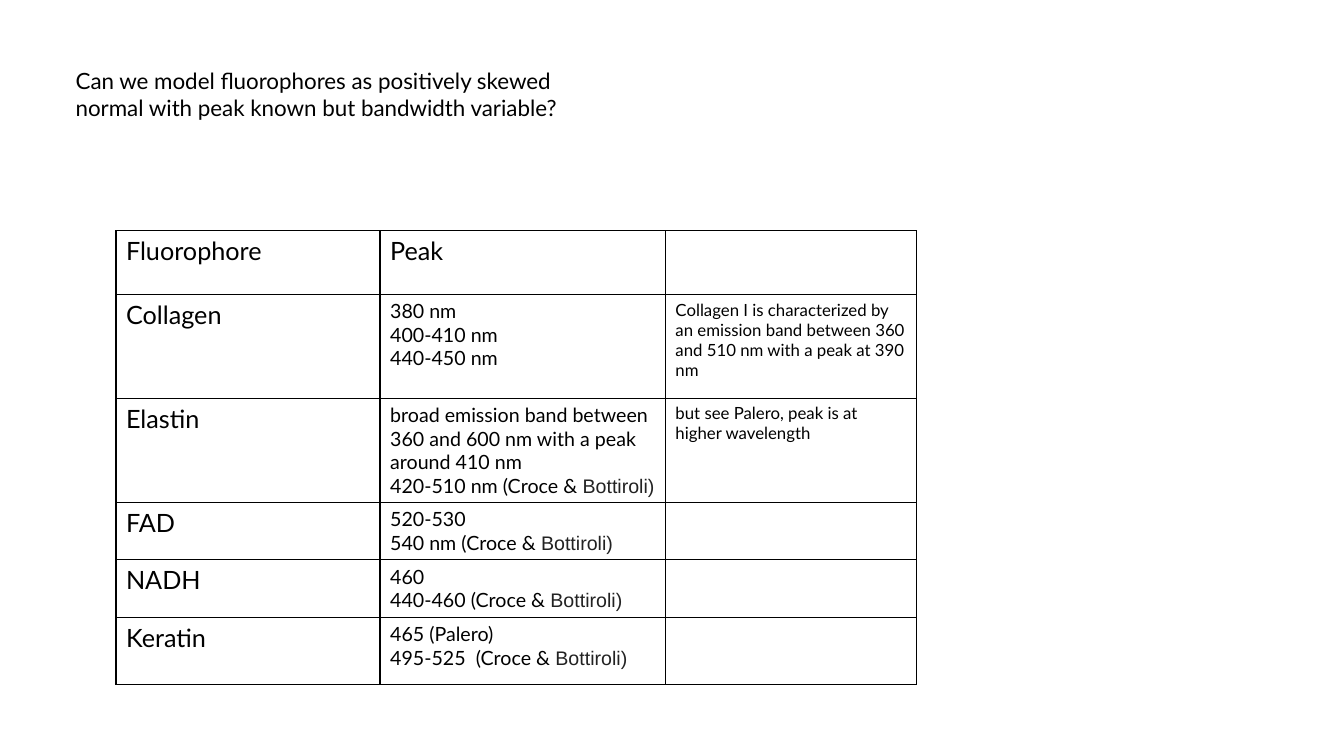
from lxml import etree
from pptx import Presentation
from pptx import util as u
from pptx.dml.color import RGBColor
from pptx.enum import text
from pptx.oxml import ns

COLORS = {"ink": "000000", "citation": "222222", "border": "000000"}
FONT, CITATION_FONT = "Lato", "Arial"
CITED = "Bottiroli)"

QUESTION = ("Can we model fluorophores as positively skewed normal "
            "with peak known but bandwidth variable?")
COL_WIDTHS = [2.62, 2.83, 2.49]
ROW_HEIGHTS = [0.63, 1.03, 1.03, 0.57, 0.57, 0.67]
HEADER_SIZES = [18, 18, 18]
BODY_SIZES = [18, 14, 12]
ROWS = [
    ["Fluorophore", "Peak", ""],
    ["Collagen", "380 nm\n400-410 nm\n440-450 nm",
     "Collagen I is characterized by an emission band between 360 and "
     "510 nm with a peak at 390 nm"],
    ["Elastin",
     "broad emission band between 360 and 600 nm with a peak around 410 nm \n"
     "420-510 nm (Croce & Bottiroli)",
     "but see Palero, peak is at higher wavelength"],
    ["FAD", "520-530\n540 nm (Croce & Bottiroli)", ""],
    ["NADH", "460\n440-460 (Croce & Bottiroli)", ""],
    ["Keratin", "465 (Palero)\n495-525  (Croce & Bottiroli)", ""],
]


def add_run(p, words, size, font=FONT, color="ink"):
    r = p.add_run()
    r.text = words
    r.font.size = u.Pt(size)
    r.font.name = font
    r.font.color.rgb = RGBColor.from_string(COLORS[color])


def set_borders(cell, width=1):
    tcPr = cell._tc.get_or_add_tcPr()
    for i, side in enumerate(("lnL", "lnR", "lnT", "lnB")):
        ln = etree.Element(ns.qn("a:" + side), w=str(u.Pt(width)))
        fill = etree.SubElement(ln, ns.qn("a:solidFill"))
        etree.SubElement(fill, ns.qn("a:srgbClr"), val=COLORS["border"])
        tcPr.insert(i, ln)


def fill_cell(cell, words, size):
    cell.fill.background()
    set_borders(cell)
    tf = cell.text_frame
    tf.text = words
    for p in tf.paragraphs:
        line = p.text
        p.clear()
        # The cited author's name has its own font and colour
        if line.endswith(CITED):
            add_run(p, line.removesuffix(CITED), size)
            add_run(p, CITED, size, CITATION_FONT, "citation")
        elif line:
            add_run(p, line, size)


def add_question(slide, left, top, width, height):
    sp = slide.shapes.title
    sp.left, sp.top = u.Inches(left), u.Inches(top)
    sp.width, sp.height = u.Inches(width), u.Inches(height)
    tf = sp.text_frame
    tf.word_wrap = True
    tf.auto_size = text.MSO_AUTO_SIZE.NONE
    tf.vertical_anchor = text.MSO_ANCHOR.TOP
    p = tf.paragraphs[0]
    p.alignment = text.PP_ALIGN.LEFT
    add_run(p, QUESTION, 16)


def add_peak_table(slide, left, top):
    frame = slide.shapes.add_table(
        len(ROWS), len(COL_WIDTHS), u.Inches(left), u.Inches(top),
        u.Inches(sum(COL_WIDTHS)), u.Inches(sum(ROW_HEIGHTS)))
    table = frame.table
    table.first_row = table.horz_banding = False
    for col, width in zip(table.columns, COL_WIDTHS):
        col.width = u.Inches(width)
    for i, (row, height) in enumerate(zip(table.rows, ROW_HEIGHTS)):
        row.height = u.Inches(height)
        sizes = BODY_SIZES if i else HEADER_SIZES
        for cell, words, size in zip(row.cells, ROWS[i], sizes):
            fill_cell(cell, words, size)


def main():
    prs = Presentation()
    prs.slide_width, prs.slide_height = u.Inches(13.33), u.Inches(7.5)
    slide = prs.slides.add_slide(prs.slide_layouts.get_by_name("Title Only"))
    add_question(slide, 0.65, 0.62, 5.6, 0.91)
    add_peak_table(slide, 1.15, 2.29)
    prs.save("out.pptx")


if __name__ == "__main__":
    main()
